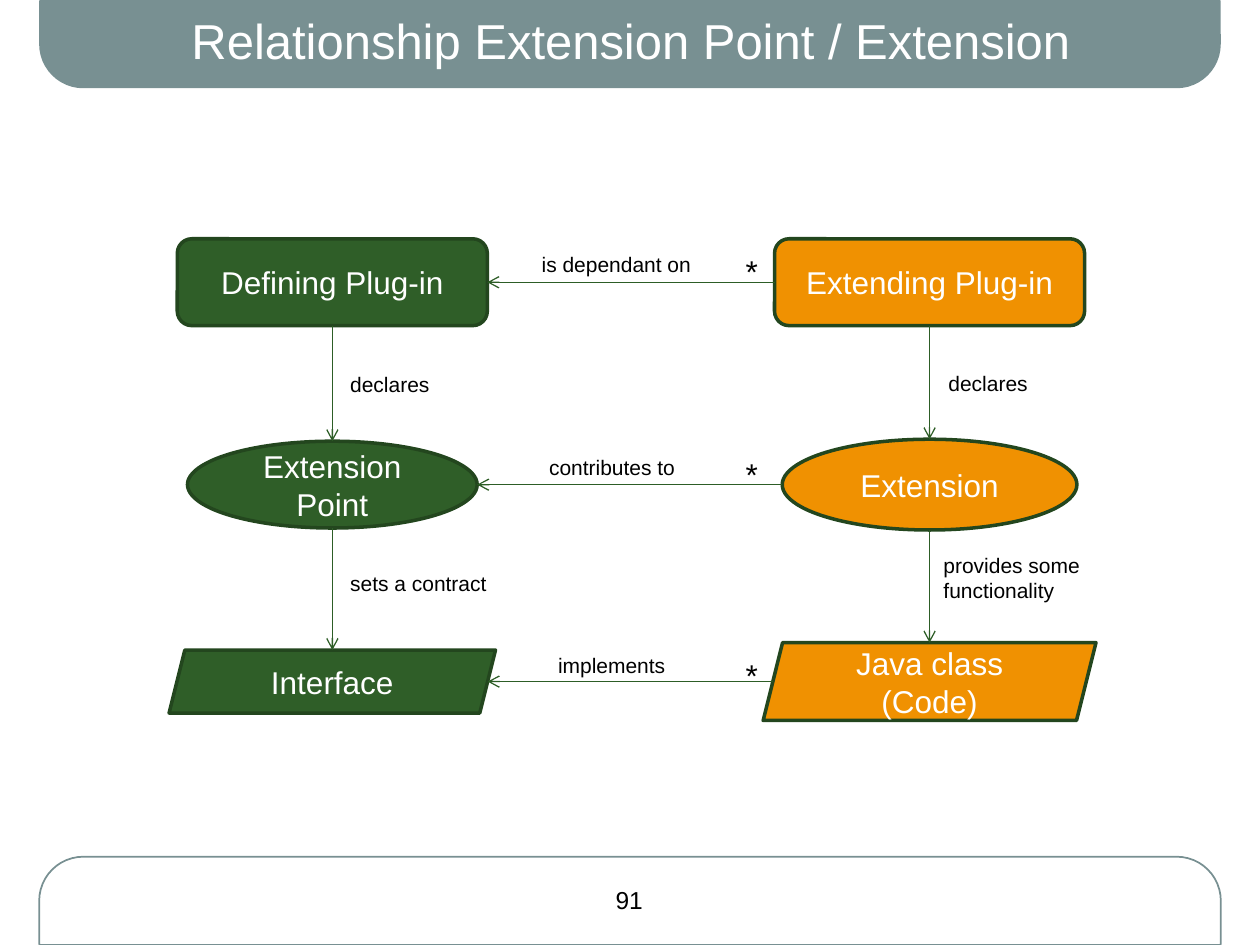
from lxml.etree import SubElement
from pptx import Presentation
from pptx.dml.color import RGBColor
from pptx.enum.shapes import MSO_CONNECTOR, MSO_SHAPE as Preset
from pptx.enum.text import MSO_ANCHOR as Anchor, PP_ALIGN as Align
from pptx.oxml.ns import qn
from pptx.util import Cm, Pt

BAND = RGBColor(0x78, 0x90, 0x92)
GREEN = RGBColor(0x2F, 0x5E, 0x28)
ORANGE = RGBColor(0xF0, 0x91, 0x01)
OUTLINE = RGBColor(0x23, 0x46, 0x1E)
ARROW = RGBColor(0x2D, 0x5D, 0x26)
BLACK = RGBColor(0, 0, 0)
WHITE = RGBColor(0xFF, 0xFF, 0xFF)


def write(frame, text, size, color, align=Align.CENTER, anchor=Anchor.MIDDLE):
    frame.word_wrap = True
    frame.vertical_anchor = anchor
    paragraph = frame.paragraphs[0]
    paragraph.alignment = align
    run = paragraph.add_run()
    run.text = text
    run.font.name = "Arial"
    run.font.size = Pt(size)
    run.font.color.rgb = color


def draw_arrow(start, end):
    arrow = slide.shapes.add_connector(
        MSO_CONNECTOR.STRAIGHT, *(Cm(v) for v in start + end))
    arrow.line.color.rgb = ARROW
    arrow.line.width = Pt(0.75)
    SubElement(arrow.line._get_or_add_ln(), qn("a:tailEnd"), type="arrow")
    SubElement(arrow._element.spPr, qn("a:effectLst"))


deck = Presentation()
deck.slide_width, deck.slide_height = Cm(25.4), Cm(19.05)
slide = deck.slides.add_slide(deck.slide_layouts[5])

# Header and footer bands
for top, rotation in ((0, 0), (17.27, 180)):
    band = slide.shapes.add_shape(
        Preset.ROUND_2_SAME_RECTANGLE, Cm(0.79), Cm(top), Cm(23.82), Cm(1.78))
    band.adjustments[0], band.adjustments[1] = 0.016, 0.5
    band.rotation = rotation
    band.shadow.inherit = False
    band.line.color.rgb = BAND
    band.line.width = Pt(1)
    if rotation:
        band.fill.background()
    else:
        band.fill.solid()
        band.fill.fore_color.rgb = BAND
        band.rotation = 180
        band.line.fill.background()

# Header corners round at the bottom, footer corners at the top
header, footer = list(slide.shapes)[-2:]
header.rotation = 0
header.adjustments[0], header.adjustments[1] = 0.016, 0.5

# Title, in front of the header band
title = slide.shapes.title
title.left, title.top, title.width, title.height = Cm(1.4), Cm(0), Cm(22.63), Cm(1.6)
write(title.text_frame, "Relationship Extension Point / Extension", 28, WHITE)
slide.shapes._spTree.append(title._element)

# Page number
page_number = slide.shapes.add_textbox(Cm(11.2), Cm(17.63), Cm(2.97), Cm(1.02))
write(page_number.text_frame, "91", 14, BLACK)

# Nodes, centred on two columns and three rows
DEFINING, EXTENDING = 6.7, 18.74
ROWS = (5.69, 9.77, 13.74)
columns = (
    (DEFINING, GREEN, (
        (Preset.ROUNDED_RECTANGLE, "Defining Plug-in", 6.25, 1.75),
        (Preset.OVAL, "Extension Point", 5.84, 1.75),
        (Preset.PARALLELOGRAM, "Interface", 6.58, 1.27))),
    (EXTENDING, ORANGE, (
        (Preset.ROUNDED_RECTANGLE, "Extending Plug-in", 6.25, 1.75),
        (Preset.OVAL, "Extension", 5.94, 1.83),
        (Preset.PARALLELOGRAM, "Java class (Code)", 6.71, 1.57))),
)
for center, color, nodes in columns:
    for middle, (preset, text, width, height) in zip(ROWS, nodes):
        node = slide.shapes.add_shape(
            preset, Cm(center - width / 2), Cm(middle - height / 2),
            Cm(width), Cm(height))
        node.shadow.inherit = False
        node.fill.solid()
        node.fill.fore_color.rgb = color
        node.line.color.rgb = OUTLINE
        node.line.width = Pt(2)
        write(node.text_frame, text, 18, WHITE)

# Arrows down each column
for center, _, nodes in columns:
    for i in range(2):
        draw_arrow((center, ROWS[i] + nodes[i][3] / 2),
                   (center, ROWS[i + 1] - nodes[i + 1][3] / 2))

# Arrows from the extending to the defining side
for middle, target, source in zip(ROWS, columns[0][2], columns[1][2]):
    # A parallelogram's slanted side is met an eighth of its height inwards
    target_inset, source_inset = (
        node[3] / 8 if node[0] == Preset.PARALLELOGRAM else 0
        for node in (target, source))
    draw_arrow((EXTENDING - source[2] / 2 + source_inset, middle),
               (DEFINING + target[2] / 2 - target_inset, middle))

# Arrow labels and multiplicities
labels = (
    ("is dependant on", 10.67, 4.95, 3.58, 12),
    ("contributes to", 10.82, 9.04, 3.58, 12),
    ("implements", 11, 13.03, 3.58, 12),
    ("declares", 18.87, 7.34, 3.58, 12),
    ("provides some functionality", 18.77, 11.02, 3.58, 12),
    ("sets a contract", 6.81, 11.38, 3.58, 12),
    ("declares", 6.81, 7.37, 3.58, 12),
    ("*", 14.78, 4.95, 0.81, 18),
    ("*", 14.78, 9.04, 0.81, 18),
    ("*", 14.78, 13.11, 0.81, 18),
)
for text, left, top, width, size in labels:
    height = 1.27 if text.startswith("provides") else size * 0.06
    label = slide.shapes.add_textbox(Cm(left), Cm(top), Cm(width), Cm(height))
    write(label.text_frame, text, size, BLACK, Align.LEFT, Anchor.TOP)

deck.save("out.pptx")
